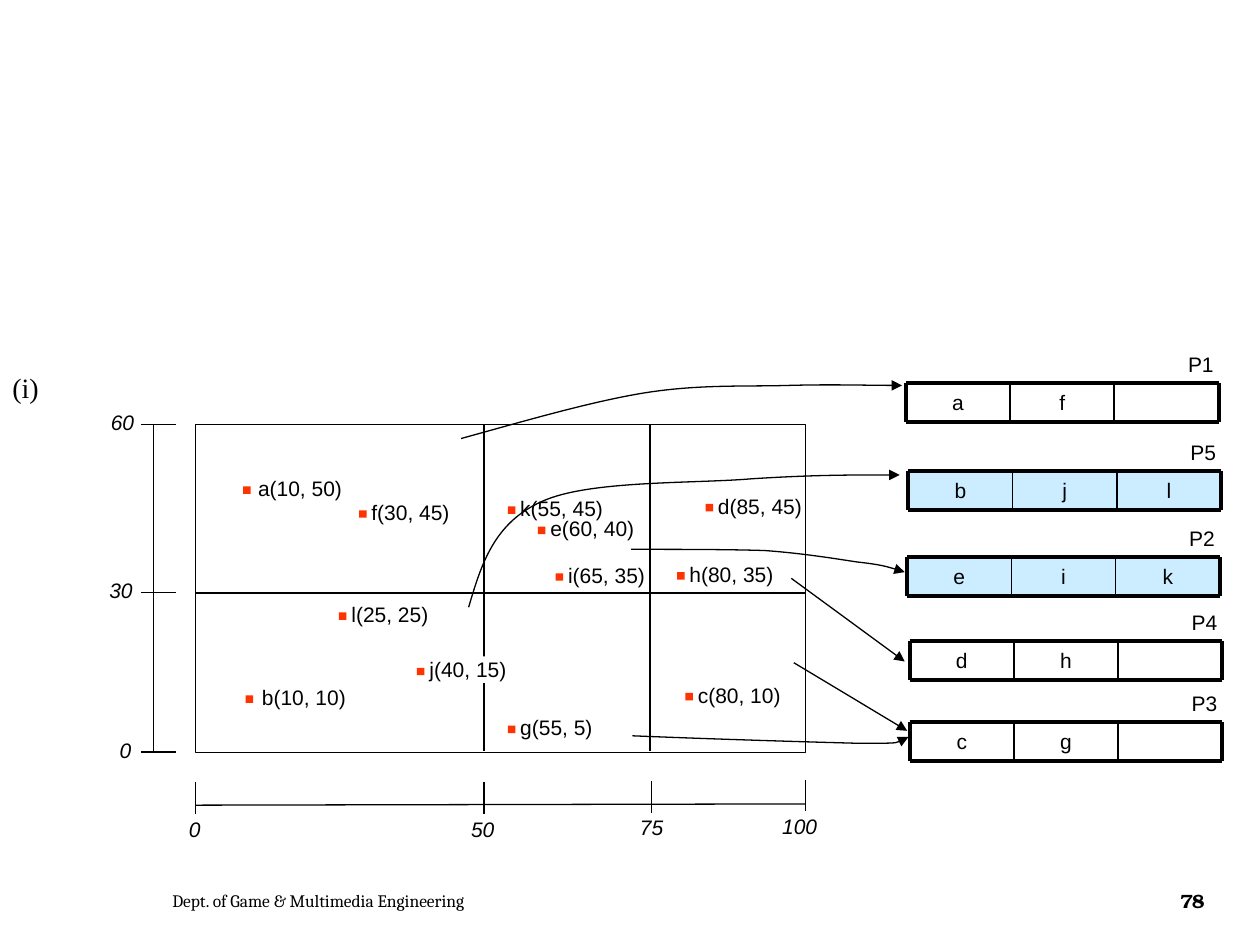
from pptx import Presentation
from pptx.dml.color import RGBColor
from pptx.enum.shapes import MSO_CONNECTOR as CONN, MSO_SHAPE as SHAPE
from pptx.enum.text import MSO_ANCHOR as ANCHOR, MSO_AUTO_SIZE as AUTO, PP_ALIGN as ALIGN
from pptx.oxml.ns import qn
from pptx.oxml.xmlchemy import OxmlElement
from pptx.util import Pt

BLACK, RED, BLUE, WHITE = "000000", "FF3300", "CCECFF", "FFFFFF"
# Arial advance widths at 12 pt that differ from a digit's
WIDTHS = {"(": 4, ")": 4, ",": 3.33, " ": 3.33, "f": 3.33, "i": 2.67,
          "j": 2.67, "l": 2.67, "c": 6, "k": 6, "P": 8}


def color(value):
    return RGBColor.from_string(value)


def label_width(text):
    return 14.4 + sum(WIDTHS.get(ch, 6.67) for ch in text)


class Diagram:
    font = {"name": "Arial", "size": Pt(12), "bold": False, "italic": False}
    thin, inner, outer = 0.75, 1, 2.25

    def __init__(self, slide):
        self.s = slide

    def set_text(self, sp, text, align=ALIGN.LEFT, anchor=ANCHOR.TOP, **fmt):
        tf = sp.text_frame
        tf.vertical_anchor = anchor
        p = tf.paragraphs[0]
        p.alignment = align
        r = p.add_run()
        r.text = text
        for key, value in {**self.font, **fmt}.items():
            setattr(r.font, key, value)
        r.font.color.rgb = color(BLACK)
        return r

    def label(self, text, x, y, w=None, h=21.6, **fmt):
        sp = self.s.shapes.add_textbox(Pt(x), Pt(y), Pt(w or label_width(text)), Pt(h))
        sp.text_frame.word_wrap = False
        sp.text_frame.auto_size = AUTO.SHAPE_TO_FIT_TEXT
        return self.set_text(sp, text, **fmt)

    def block(self, text, x, y, w, h, **fmt):
        sp = self.s.shapes.add_textbox(Pt(x), Pt(y), Pt(w), Pt(h))
        sp.text_frame.word_wrap = True
        return self.set_text(sp, text, **fmt)

    def rect(self, x, y, w, h, fill=None, line=None):
        sp = self.s.shapes.add_shape(SHAPE.RECTANGLE, Pt(x), Pt(y), Pt(w), Pt(h))
        sp.shadow.inherit = False
        if fill:
            sp.fill.solid()
            sp.fill.fore_color.rgb = color(fill)
        else:
            sp.fill.background()
        if line:
            self.stroke(sp, line)
        else:
            sp.line.fill.background()
        return sp

    def stroke(self, sp, width, arrow=False):
        sp.line.color.rgb = color(BLACK)
        sp.line.width = Pt(width)
        if arrow:
            tail = OxmlElement("a:tailEnd")
            tail.set("type", "triangle")
            sp.line._get_or_add_ln().append(tail)

    def line(self, x1, y1, x2, y2, width=thin, arrow=False):
        sp = self.s.shapes.add_connector(CONN.STRAIGHT, Pt(x1), Pt(y1), Pt(x2), Pt(y2))
        self.stroke(sp, width, arrow)
        sp._element.spPr.append(OxmlElement("a:effectLst"))

    def curve(self, points):
        """Draw an arrow: a start point, then three Bézier points per segment."""
        start, *rest = [(Pt(x), Pt(y)) for x, y in points]
        fb = self.s.shapes.build_freeform(*start)
        fb.add_line_segments(rest, close=False)
        sp = fb.convert_to_shape()
        steps = list(sp._element.iter(qn("a:lnTo")))
        for i in range(0, len(steps), 3):
            bezier = OxmlElement("a:cubicBezTo")
            steps[i].addprevious(bezier)
            for step in steps[i:i + 3]:
                bezier.append(step[0])
                step.getparent().remove(step)
        sp.shadow.inherit = False
        sp.fill.background()
        self.stroke(sp, self.thin, arrow=True)

    def point(self, text, x, y, gap=0):
        self.rect(x, y, 4.3, 4.3, RED)
        self.label(text, x + gap, y - 9.7)

    def bucket(self, name, x, y, items, fill=None):
        w, h = 59.55, 22.3
        for i, item in enumerate(items):
            if fill or item:
                sp = self.rect(x + i * w, y, w, h, fill)
                self.set_text(sp, item, ALIGN.CENTER)
        for edge in (y, y + h):
            self.line(x, edge, x + 3 * w, edge, self.outer)
        for i in range(4):
            width = self.outer if i in (0, 3) else self.inner
            self.line(x + i * w, y, x + i * w, y + h, width)
        self.label(name, x + 154.1, y - 21.6)


def main():
    prs = Presentation()
    prs.slide_width, prs.slide_height = Pt(720), Pt(540)
    d = Diagram(prs.slides.add_slide(prs.slide_layouts[6]))

    # Plane and its partitions
    left, top, right, bottom, middle = 111.6, 242.6, 460.4, 430.2, 338.9
    d.rect(left, top, right - left, bottom - top, line=d.thin)
    for x in (276.5, 371.5):
        d.line(x, top, x, 429.1)
    d.line(left, middle, right, middle)

    # Horizontal axis
    d.line(left, 460.1, right, 459.4)
    for text, x, y, text_x, text_y in (("0", left, 447.1, 100.8, 463),
                                       ("50", 276.5, 447.1, 262.1, 463),
                                       ("75", 372.2, 446.4, 358.6, 462.2),
                                       ("100", right, 445.7, 439.9, 461.5)):
        d.line(x, y, x, y + 18)
        d.label(text, text_x, text_y, italic=True)

    # Vertical axis
    d.line(87.8, top, 87.8, 429.8)
    for text, y, text_x in (("60", top, 56.2), ("30", 338.4, 55.4), ("0", 429.8, 61.2)):
        d.line(80.6, y, 100.8, y)
        d.label(text, text_x, y - 12, italic=True)

    # Curved arrows to the buckets
    for points in (
        [(263.5, 250.6), (300.2, 240.5), (337, 229.7), (367.9, 224.6), (398.9, 219.6),
         (424.8, 221), (450, 220.3), (474.5, 219.6), (494.6, 220.3), (515.5, 220.3)],
        [(267.8, 347), (275, 322.6), (282.2, 298.8), (309.6, 286.6), (336.2, 274.3),
         (396, 276.5), (429.8, 273.6), (464.4, 271.4), (488.9, 271.4), (514.1, 271.4)],
        [(360.7, 313.9), (388.1, 313.9), (415.4, 313.9), (437, 314.6), (457.9, 316.1),
         (475.9, 319), (489.6, 321.1), (503.3, 322.6), (510.5, 324.7), (517, 326.9)],
        [(361.4, 420.5), (413.3, 422.6), (465.1, 424.1), (491.8, 424.8),
         (517.7, 424.8), (518.4, 422.6), (519.1, 421.2)],
    ):
        d.curve(points)

    # Straight arrows to the buckets
    d.line(452.2, 330.5, 517, 378, arrow=True)
    d.line(453.6, 378.7, 518.4, 417.6, arrow=True)

    # Data points, with a gap in the divider behind j
    d.rect(273.6, 375.1, 7.2, 15.1, WHITE)
    for point in (("a(10, 50)", 139, 277.9, 1.4), ("b(10, 10)", 140.4, 397.4, 2.2),
                  ("c(80, 10)", 391.7, 396), ("d(85, 45)", 403.2, 288),
                  ("e(60, 40)", 307.4, 301), ("f(30, 45)", 205.2, 291.6),
                  ("g(55, 5)", 290.2, 414.7), ("h(80, 35)", 386.9, 326.9),
                  ("i(65, 35)", 317.5, 327.6), ("j(40, 15)", 238.3, 381.6),
                  ("k(55, 45)", 290.2, 289.4), ("l(25, 25)", 193.7, 349.9)):
        d.point(*point)

    # Buckets
    for bucket in (("P1", 517.7, 218.9, ("a", "f", "")),
                   ("P5", 519.1, 269.3, ("b", "j", "l"), BLUE),
                   ("P2", 518.4, 318.2, ("e", "i", "k"), BLUE),
                   ("P4", 519.8, 366.5, ("d", "h", "")),
                   ("P3", 519.8, 412.6, ("c", "g", ""))):
        d.bucket(*bucket)

    # Step label and footer
    d.label("(i)", 0, 208.1, 29.5, 26.6, name="Times New Roman", size=Pt(16))
    d.block("Dept. of Game & Multimedia Engineering", 91.4, 500.4, 330.5, 28.8,
            anchor=ANCHOR.MIDDLE, name="Cambria", size=Pt(10))
    r = d.block("78", 662.4, 500.4, 38.2, 28.8, align=ALIGN.CENTER, anchor=ANCHOR.MIDDLE,
                name="TeX Gyre Bonum", size=Pt(11), bold=True)
    r._r.get_or_add_rPr().set("spc", "-70")

    prs.save("out.pptx")


if __name__ == "__main__":
    main()
